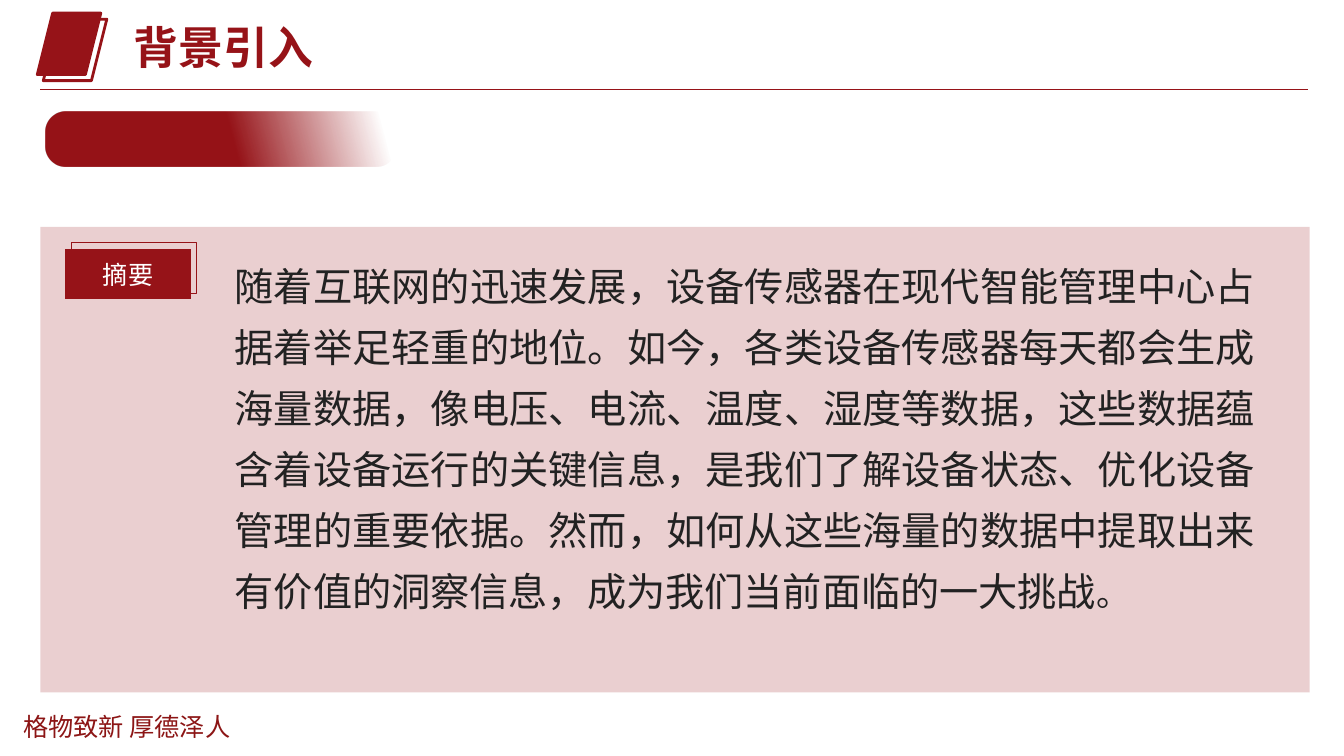
from lxml import etree
from pptx import Presentation
from pptx.dml.color import RGBColor
from pptx.enum.shapes import MSO_CONNECTOR, MSO_SHAPE
from pptx.enum.text import MSO_ANCHOR, PP_ALIGN
from pptx.oxml.ns import qn
from pptx.util import Inches, Pt

PARALLELOGRAM = MSO_SHAPE.PARALLELOGRAM
RECTANGLE = MSO_SHAPE.RECTANGLE
ROUNDED = MSO_SHAPE.ROUNDED_RECTANGLE
STRAIGHT = MSO_CONNECTOR.STRAIGHT
LEFT, CENTER, JUSTIFY = PP_ALIGN.LEFT, PP_ALIGN.CENTER, PP_ALIGN.JUSTIFY
MIDDLE = MSO_ANCHOR.MIDDLE

CRIMSON = RGBColor(0x96, 0x13, 0x18)
MOTTO_RED = RGBColor(0x8C, 0x15, 0x15)
INK = RGBColor(0x22, 0x22, 0x22)
WHITE = RGBColor(0xFF, 0xFF, 0xFF)

SUMMARY = (
    "随着互联网的迅速发展，设备传感器在现代智能管理中心占据着举足轻重的地位。"
    "如今，各类设备传感器每天都会生成海量数据，像电压、电流、温度、湿度等数据，"
    "这些数据蕴含着设备运行的关键信息，是我们了解设备状态、优化设备管理的重要依据。"
    "然而，如何从这些海量的数据中提取出来有价值的洞察信息，成为我们当前面临的一大挑战"
)


class SlideBuilder:
    """Holds the style and the current slide, and draws each kind of element."""

    font = "Noto Sans CJK SC"

    def __init__(self, page):
        self.page = page

    def shape(self, kind, left, top, width, height, fill=None, line=None, adjust=None):
        item = self.page.shapes.add_shape(
            kind, Inches(left), Inches(top), Inches(width), Inches(height))
        item.shadow.inherit = False
        if adjust is not None:
            item.adjustments[0] = adjust
        if fill is None:
            item.fill.background()
        else:
            item.fill.solid()
            item.fill.fore_color.rgb = fill
        if line is None:
            item.line.fill.background()
        else:
            item.line.color.rgb = CRIMSON
            item.line.width = Pt(line)
        return item

    def set_alpha(self, color, percent):
        alpha = etree.SubElement(color, qn("a:alpha"))
        alpha.set("val", str(percent * 1000))

    def tint(self, item, percent):
        self.set_alpha(item._element.spPr.find(".//" + qn("a:srgbClr")), percent)

    def fade(self, item, stops, angle):
        item.fill.gradient()
        item.fill.gradient_angle = angle
        stop_list = item._element.spPr.find(".//" + qn("a:gsLst"))
        for old_stop in list(stop_list):
            stop_list.remove(old_stop)
        for position, opacity in stops:
            stop = etree.SubElement(stop_list, qn("a:gs"), pos=str(position * 1000))
            color = etree.SubElement(stop, qn("a:srgbClr"), val=str(CRIMSON))
            self.set_alpha(color, opacity)

    def rule(self, left, right, top, width):
        line = self.page.shapes.add_connector(
            STRAIGHT, Inches(left), Inches(top), Inches(right), Inches(top))
        line.line.color.rgb = CRIMSON
        line.line.width = Pt(width)
        etree.SubElement(line._element.spPr, qn("a:effectLst"))

    def add_spans(self, item, spans, color, align=LEFT, spacing=None, bold=False):
        para = item.text_frame.paragraphs[0]
        para.alignment = align
        if spacing:
            para.line_spacing = spacing
        for text, size in spans:
            span = para.add_run()
            span.text = text
            span.font.size = Pt(size)
            span.font.bold = bold
            span.font.color.rgb = color
            span.font.name = self.font
            properties = span._r.get_or_add_rPr()
            etree.SubElement(properties, qn("a:ea"), typeface=self.font)

    def text(self, left, top, width, height, spans, color, **style):
        box = self.page.shapes.add_textbox(
            Inches(left), Inches(top), Inches(width), Inches(height))
        box.text_frame.word_wrap = True
        self.add_spans(box, spans, color, **style)


def main():
    deck = Presentation()
    deck.slide_width, deck.slide_height = Inches(13.33), Inches(7.5)
    builder = SlideBuilder(deck.slides.add_slide(deck.slide_layouts[6]))

    builder.shape(PARALLELOGRAM, 0.37, 0.13, 0.63, 0.61, fill=CRIMSON, line=2)
    builder.shape(PARALLELOGRAM, 0.43, 0.19, 0.63, 0.61, line=2)
    builder.rule(0.4, 12.97, 0.89, 0.75)
    builder.text(1.23, 0.21, 5.51, 0.67, [("背景引入", 32)], CRIMSON,
                 spacing=0.9, bold=True)

    panel = builder.shape(RECTANGLE, 0.4, 2.25, 12.59, 4.62, fill=CRIMSON)
    builder.tint(panel, 20)
    builder.text(2.23, 2.41, 10.32, 3.41, [(SUMMARY, 28), ("。", 24)], INK,
                 align=JUSTIFY, spacing=1.3)

    builder.shape(PARALLELOGRAM, 0.71, 2.41, 1.24, 0.5, line=0.75, adjust=0)
    label = builder.shape(PARALLELOGRAM, 0.65, 2.47, 1.24, 0.5, fill=CRIMSON, adjust=0)
    label.text_frame.vertical_anchor = MIDDLE
    builder.add_spans(label, [("摘要", 18)], WHITE, align=CENTER)

    banner = builder.shape(ROUNDED, 0.45, 1.11, 3.48, 0.54, adjust=0.37)
    builder.fade(banner, [(0, 100), (53, 100), (95, 0)], 15)
    builder.text(0.13, 7.01, 2.52, 0.4, [("格物致新 厚德泽人", 18)], MOTTO_RED)

    deck.save("out.pptx")


if __name__ == "__main__":
    main()
